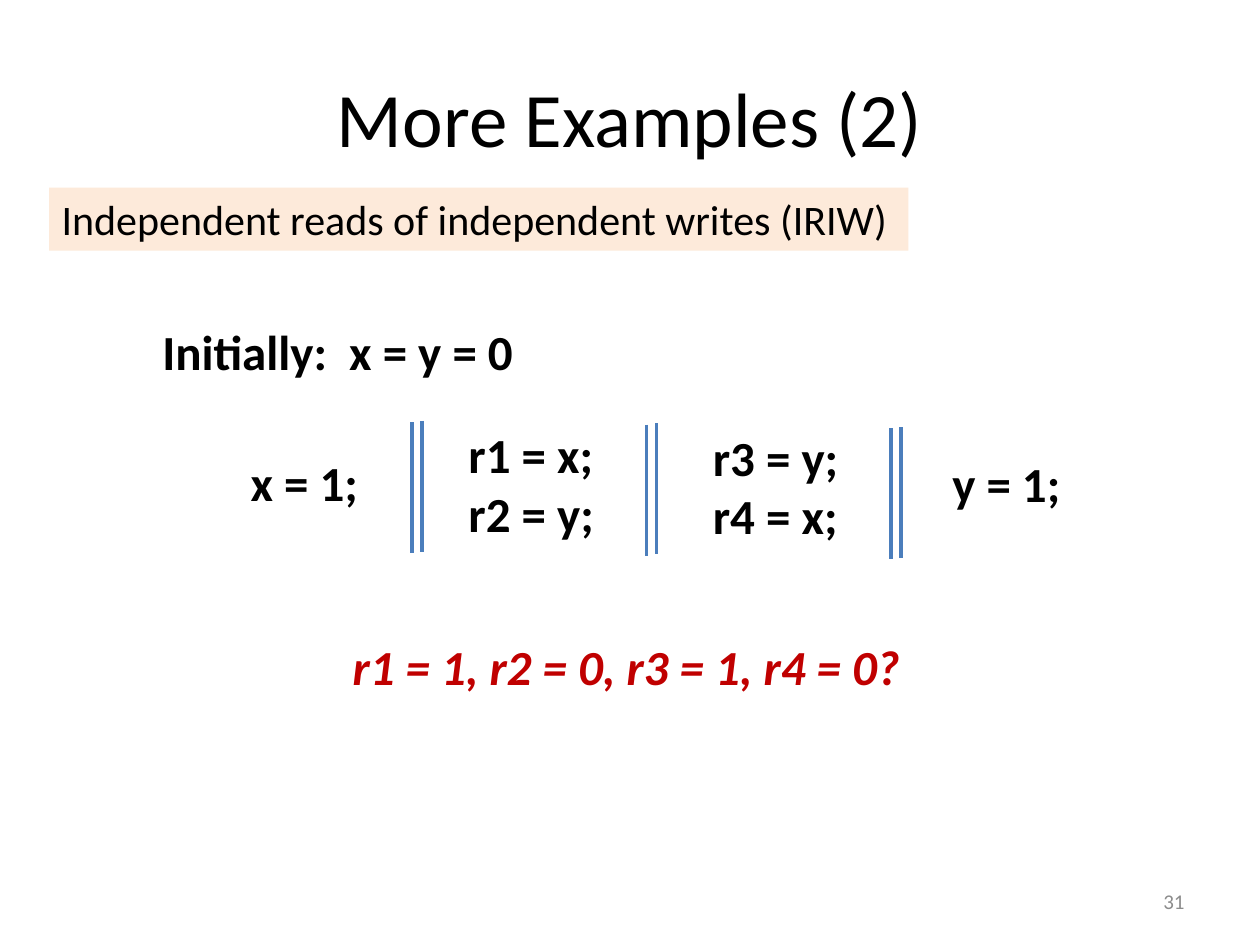
import dataclasses

import pptx
import pptx.dml.color
import pptx.enum.shapes
import pptx.enum.text
import pptx.util
from lxml import etree

Inches = pptx.util.Inches
ALIGN = pptx.enum.text.PP_ALIGN
ANCHOR = pptx.enum.text.MSO_ANCHOR


@dataclasses.dataclass(frozen=True)
class Theme:
    font: str = "Calibri"
    ink: str = "000000"
    muted: str = "8C8C8C"
    alert: str = "C00000"
    band: str = "FDEADA"
    rule: str = "4B7EBC"
    title: int = 44
    code: int = 28
    caption: int = 24
    number: int = 12
    rule_width: int = 2


THEME = Theme()

TITLE = ("More Examples (2)", (0.5, 0.3, 9, 1.25))
CAPTION = ("Independent reads of independent writes (IRIW)", (0.39, 1.49, 6.82, 0.5))
INITIAL = ("Initially:  x = y = 0", (1.19, 2.5, 4.04, 0.57))
OUTCOME = ("r1 = 1, r2 = 0, r3 = 1, r4 = 0?", (2.7, 5, 4.76, 0.57))
NUMBER = ("31", (7.17, 6.95, 2.33, 0.4))
THREADS = [
    (["x = 1;"], 1.89, 3.54),
    (["r1 = x;", "r2 = y;"], 3.62, 3.32),
    (["r3 = y;", "r4 = x;"], 5.56, 3.34),
    (["y = 1;"], 7.46, 3.55),
]
THREAD_WIDTH = 1.24
LINE_HEIGHT = 0.47
BOX_PADDING = 0.1
SEPARATORS = [(3.27, 3.35), (5.13, 3.37), (7.07, 3.4)]
SEPARATOR_HEIGHT = 1.04
SEPARATOR_GAP = 0.08
SEPARATOR_RISE = 0.01


def color(value):
    return pptx.dml.color.RGBColor.from_string(value)


def write(box, text, size, ink=THEME.ink, bold=False, italic=False,
          align=ALIGN.LEFT, anchor=ANCHOR.TOP, wrap=True):
    frame = box.text_frame
    frame.text = text
    frame.word_wrap = wrap
    frame.vertical_anchor = anchor
    for para in frame.paragraphs:
        para.alignment = align
        for span in para.runs:
            span.font.name = THEME.font
            span.font.size = pptx.util.Pt(size)
            span.font.bold = bold
            span.font.italic = italic
            span.font.color.rgb = color(ink)


def add_text(page, text, place, size, **style):
    box = page.shapes.add_textbox(*map(Inches, place))
    write(box, text, size, **style)


def add_caption(page, text, place):
    box = page.shapes.add_shape(
        pptx.enum.shapes.MSO_SHAPE.RECTANGLE, *map(Inches, place))
    box.shadow.inherit = False
    box.fill.solid()
    box.fill.fore_color.rgb = color(THEME.band)
    box.line.fill.background()
    write(box, text, THEME.caption, wrap=False)


def add_separator(page, left, top):
    group = page.shapes.add_group_shape()
    for index in range(2):
        x = left + index * SEPARATOR_GAP
        y = top - index * SEPARATOR_RISE
        rule = group.shapes.add_connector(
            pptx.enum.shapes.MSO_CONNECTOR.STRAIGHT,
            *map(Inches, (x, y, x, y + SEPARATOR_HEIGHT)))
        rule.line.color.rgb = color(THEME.rule)
        rule.line.width = pptx.util.Pt(THEME.rule_width)
        etree.SubElement(rule.element.spPr, pptx.oxml.ns.qn("a:effectLst"))


def main():
    deck = pptx.Presentation()
    deck.slide_width = Inches(10)
    deck.slide_height = Inches(7.5)
    page = deck.slides.add_slide(deck.slide_layouts[6])

    add_text(page, *TITLE, THEME.title, align=ALIGN.CENTER, anchor=ANCHOR.MIDDLE)
    add_text(page, *NUMBER, THEME.number, ink=THEME.muted,
             align=ALIGN.RIGHT, anchor=ANCHOR.MIDDLE)
    add_text(page, *OUTCOME, THEME.code, ink=THEME.alert, bold=True, italic=True)
    add_text(page, *INITIAL, THEME.code, bold=True)
    add_caption(page, *CAPTION)
    for lines, left, top in THREADS:
        height = BOX_PADDING + LINE_HEIGHT * len(lines)
        add_text(page, "\n".join(lines), (left, top, THREAD_WIDTH, height),
                 THEME.code, bold=True)
    for left, top in SEPARATORS:
        add_separator(page, left, top)

    deck.save("out.pptx")


if __name__ == "__main__":
    main()
